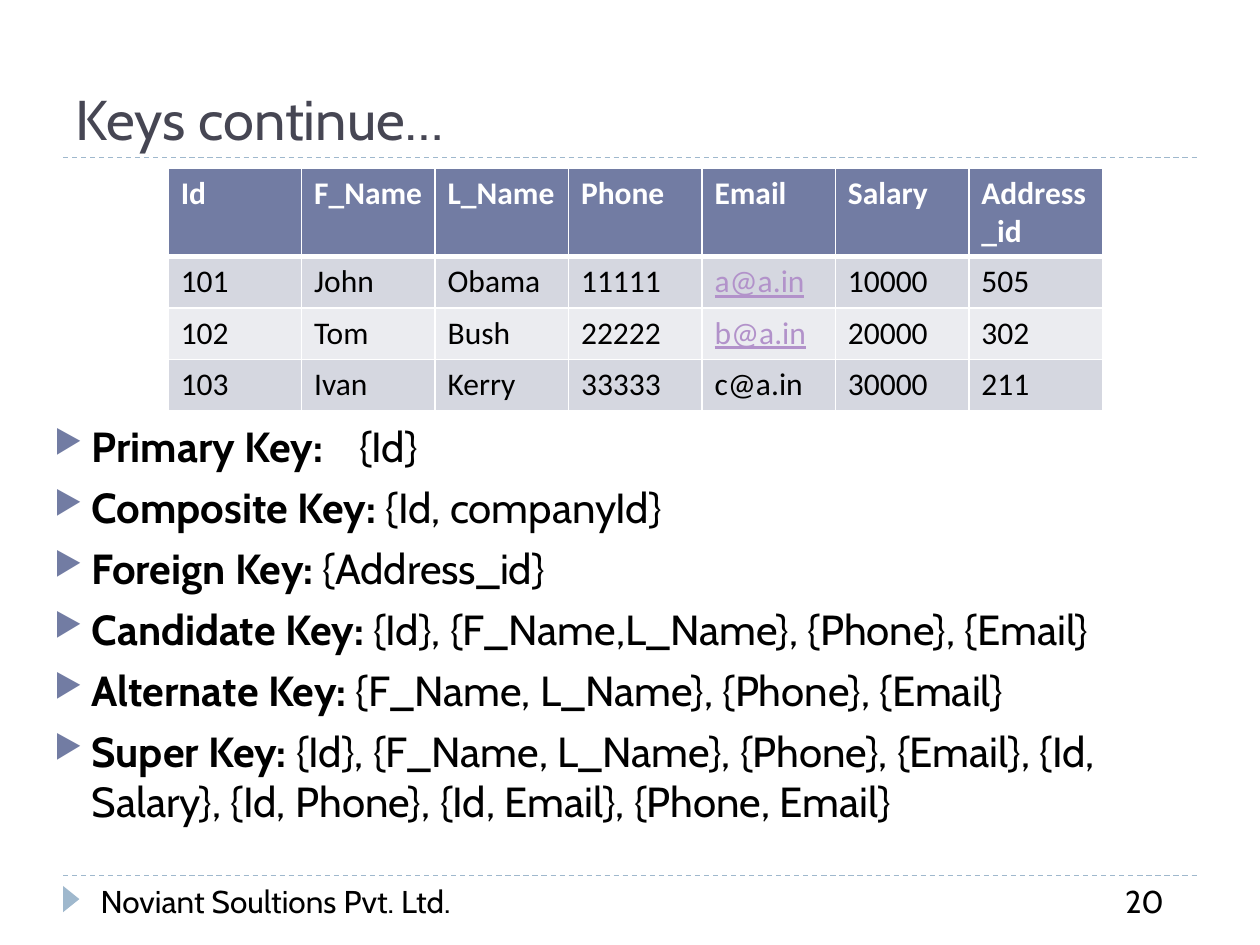
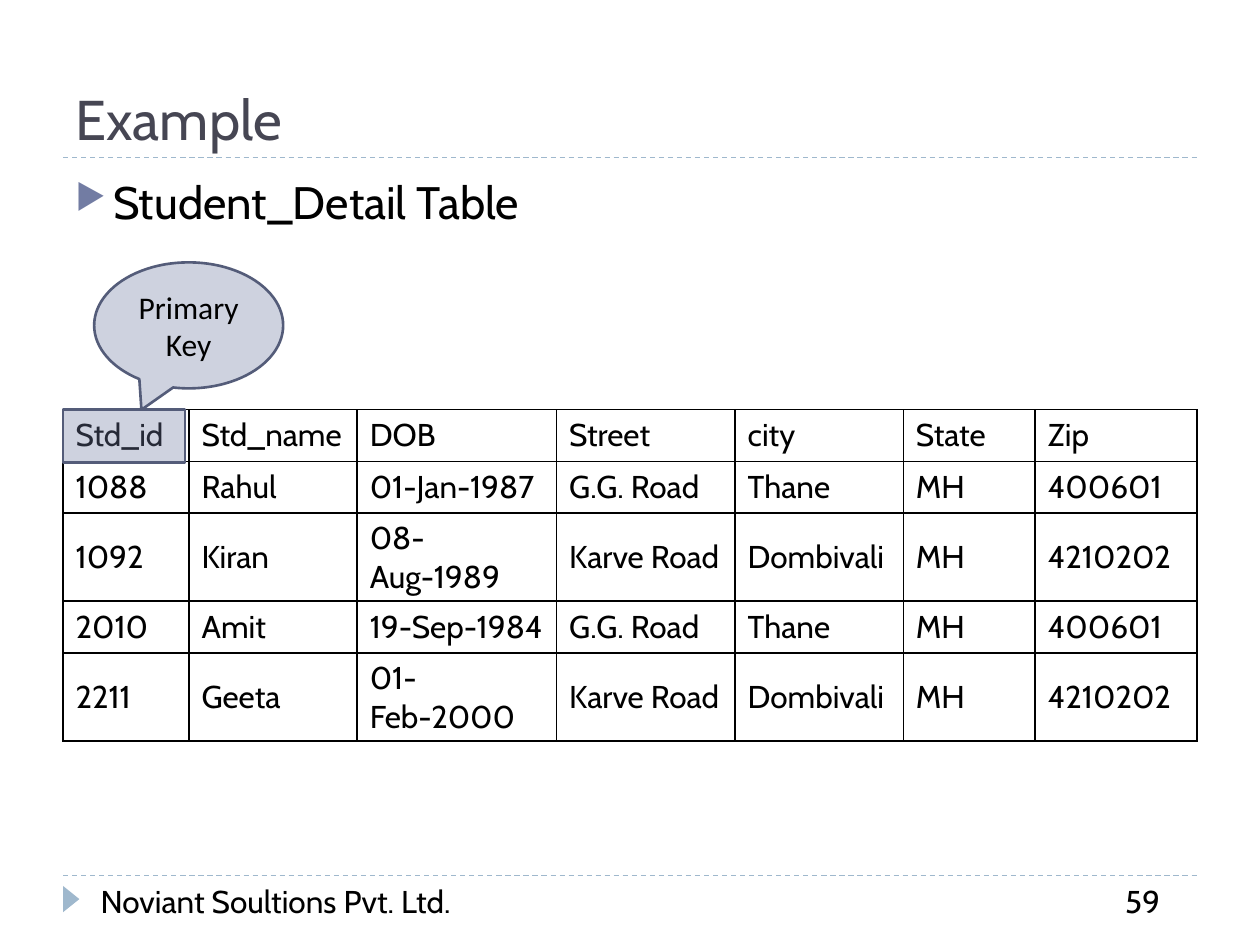
from lxml import etree
from pptx import Presentation
from pptx.dml.color import RGBColor
from pptx.enum.dml import MSO_LINE
from pptx.enum.shapes import MSO_CONNECTOR, MSO_SHAPE as Preset
from pptx.enum.text import MSO_ANCHOR as Anchor, PP_ALIGN as Align
from pptx.oxml.ns import qn
from pptx.util import Cm, Pt

BODY_FONT, LABEL_FONT = "Cabin", "Calibri"
WHITE, BLACK, TITLE = "FFFFFF", "000000", "464653"
ACCENT, ACCENT_DARK, PALE_BLUE = "727CA3", "545C79", "9FB8CD"
BAND_DARK, BAND_LIGHT, LINK = "D5D7E0", "EBECF0", "B292CA"
FOOTER = "Noviant Soultions Pvt. Ltd."
MARGIN, CONTENT_WIDTH = 1.27, 22.86
TITLE_RULE, FOOTER_RULE = 3.18, 17.65

EMPLOYEES = [
    ["Id", "F_Name", "L_Name", "Phone", "Email", "Salary", "Address_id"],
    ["101", "John", "Obama", "11111", "a@a.in", "10000", "505"],
    ["102", "Tom", "Bush", "22222", "b@a.in", "20000", "302"],
    ["103", "Ivan", "Kerry", "33333", "c@a.in", "30000", "211"],
]
LINKED_EMAILS = {"a@a.in", "b@a.in"}
KEYS = [
    ("Primary Key:\t", "{Id}"),
    ("Composite Key: ", "{Id, companyId}"),
    ("Foreign Key: ", "{Address_id}"),
    ("Candidate Key: ", "{Id}, {F_Name,L_Name}, {Phone}, {Email}"),
    ("Alternate Key: ", "{F_Name, L_Name}, {Phone}, {Email}"),
    ("Super Key: ", "{Id}, {F_Name, L_Name}, {Phone}, {Email}, {Id, Salary}, "
                    "{Id, Phone}, {Id, Email}, {Phone, Email}"),
]
STUDENTS = [
    ["Std_id", "Std_name", "DOB", "Street", "city", "State", "Zip"],
    ["1088", "Rahul", "01-Jan-1987", "G.G. Road", "Thane", "MH", "400601"],
    ["1092", "Kiran", "08-Aug-1989", "Karve Road", "Dombivali", "MH", "4210202"],
    ["2010", "Amit", "19-Sep-1984", "G.G. Road", "Thane", "MH", "400601"],
    ["2211", "Geeta", "01-Feb-2000", "Karve Road", "Dombivali", "MH", "4210202"],
]
STUDENT_COLUMNS = [2.54, 3.39, 4.02, 3.6, 3.39, 2.66, 3.26]
ROW, TALL_ROW = 1.04, 1.78


def rgb(value):
    return RGBColor.from_string(value)


def child(parent, tag, **attributes):
    return etree.SubElement(parent, qn(tag), attributes)


def add_run(paragraph, text, size, color=BLACK, font=BODY_FONT, bold=False, underline=False):
    run = paragraph.add_run()
    run.text = text
    style = run.font
    style.size, style.name, style.bold = Pt(size), font, bold
    style.underline = underline
    style.color.rgb = rgb(color)


def add_box(slide, left, top, width, height):
    frame = slide.shapes.add_textbox(Cm(left), Cm(top), Cm(width), Cm(height)).text_frame
    frame.word_wrap = True
    return frame


def add_rule(slide, top):
    rule = slide.shapes.add_connector(MSO_CONNECTOR.STRAIGHT, Cm(MARGIN), Cm(top),
                                      Cm(MARGIN + CONTENT_WIDTH), Cm(top))
    rule.line.color.rgb = rgb(PALE_BLUE)
    rule.line.width = Pt(0.75)
    rule.line.dash_style = MSO_LINE.DASH
    child(rule._element.spPr, "a:effectLst")


def add_shape(slide, preset, left, top, width, height, color):
    shape = slide.shapes.add_shape(preset, Cm(left), Cm(top), Cm(width), Cm(height))
    shape.shadow.inherit = False
    shape.fill.solid()
    shape.fill.fore_color.rgb = rgb(color)
    return shape


def add_highlight(slide, preset, left, top, width, height):
    """Add a see-through accent shape with a dark outline."""
    shape = add_shape(slide, preset, left, top, width, height, ACCENT)
    color = shape._element.spPr.find(qn("a:solidFill"))[0]
    child(color, "a:alpha", val="34000")
    shape.line.color.rgb = rgb(ACCENT_DARK)
    shape.line.width = Pt(1.5)
    return shape


def add_footer(slide, number):
    add_rule(slide, FOOTER_RULE)
    marker = add_shape(slide, Preset.ISOSCELES_TRIANGLE, 1.17, 17.96, 0.53, 0.33, PALE_BLUE)
    marker.rotation = 90
    marker.line.fill.background()
    for text, left, width in [(FOOTER, 1.78, 9.65), (number, 22.43, 1.7)]:
        frame = add_box(slide, left, FOOTER_RULE, width, 1.02)
        add_run(frame.paragraphs[0], text, 18)


def start_slide(deck, heading, number):
    slide = deck.slides.add_slide(deck.slide_layouts[5])
    title = slide.shapes.title
    title.left, title.top = Cm(MARGIN), Cm(0.43)
    title.width, title.height = Cm(CONTENT_WIDTH), Cm(2.75)
    title.text_frame.vertical_anchor = Anchor.BOTTOM
    paragraph = title.text_frame.paragraphs[0]
    paragraph.alignment = Align.LEFT
    add_run(paragraph, heading, 32, TITLE)
    add_rule(slide, TITLE_RULE)
    add_footer(slide, number)
    return slide


def add_bullets(frame, items, size):
    """Fill a frame with bulleted (bold lead, plain rest) items."""
    for index, (lead, rest) in enumerate(items):
        paragraph = frame.paragraphs[0] if index == 0 else frame.add_paragraph()
        properties = paragraph._p.get_or_add_pPr()
        properties.set("marL", str(Cm(0.76)))
        properties.set("indent", str(Cm(-0.76)))
        child(child(properties, "a:buClr"), "a:srgbClr", val=ACCENT)
        child(properties, "a:buSzPct", val="76000")
        child(properties, "a:buChar", char="▶")
        if "\t" in lead:
            child(child(properties, "a:tabLst"), "a:tab", pos=str(Cm(6.15)), algn="l")
        paragraph.space_before = Pt(6 if index else 0)
        if lead:
            add_run(paragraph, lead, size, bold=True)
        add_run(paragraph, rest, size)


def set_borders(cell, color, bottom_width=1):
    properties = cell._tc.get_or_add_tcPr()
    for side in "LRTB":
        width = bottom_width if side == "B" else 1
        border = child(properties, f"a:ln{side}", w=str(Pt(width)))
        child(child(border, "a:solidFill"), "a:srgbClr", val=color)


def add_grid(slide, left, top, columns, heights, rows, format_cell):
    """Add a table; format_cell styles and fills each cell."""
    table = slide.shapes.add_table(len(rows), len(columns), Cm(left), Cm(top),
                                   Cm(sum(columns)), Cm(sum(heights))).table
    for column, width in zip(table.columns, columns):
        column.width = Cm(width)
    for index, (row, height, values) in enumerate(zip(table.rows, heights, rows)):
        row.height = Cm(height)
        for cell, value in zip(row.cells, values):
            format_cell(cell, index, value)


def format_employee(cell, row, value):
    header, linked = row == 0, value in LINKED_EMAILS
    set_borders(cell, WHITE, 3 if header else 1)
    cell.fill.solid()
    cell.fill.fore_color.rgb = rgb(ACCENT if header else BAND_DARK if row % 2 else BAND_LIGHT)
    color = WHITE if header else LINK if linked else BLACK
    add_run(cell.text_frame.paragraphs[0], value, 18, color, LABEL_FONT, header, linked)


def format_student(cell, row, value):
    set_borders(cell, BLACK)
    cell.fill.background()
    cell.vertical_anchor = Anchor.MIDDLE
    add_run(cell.text_frame.paragraphs[0], value, 18)


def build_keys(deck):
    slide = start_slide(deck, "Keys continue…", "20")
    add_bullets(add_box(slide, 0.84, 8.36, CONTENT_WIDTH, 8.6), KEYS, 24)
    add_grid(slide, 3.39, 3.39, [2.69] * 7, [TALL_ROW] + [ROW] * 3, EMPLOYEES, format_employee)


def add_primary_key_callout(slide, left, top):
    """Mark the first header cell, whose corner is given, as the primary key."""
    add_highlight(slide, Preset.RECTANGLE, left, top, 2.46, 1.06)
    callout = add_highlight(slide, Preset.OVAL_CALLOUT, left + 0.63, top - 2.97, 3.81, 2.54)
    callout.adjustments[0], callout.adjustments[1] = -0.25, 0.67
    frame = callout.text_frame
    frame.word_wrap = True
    frame.vertical_anchor = Anchor.MIDDLE
    paragraph = frame.paragraphs[0]
    paragraph.alignment = Align.CENTER
    add_run(paragraph, "Primary Key", 18, font=LABEL_FONT)


def build_example(deck):
    slide = start_slide(deck, "Example", "59")
    add_bullets(add_box(slide, MARGIN, 3.39, CONTENT_WIDTH, 1.27),
                [("", "Student_Detail Table")], 26)
    table_top = 8.26
    add_grid(slide, MARGIN, table_top, STUDENT_COLUMNS, [ROW, ROW, TALL_ROW, ROW, TALL_ROW],
             STUDENTS, format_student)
    add_primary_key_callout(slide, MARGIN, table_top)


def main():
    deck = Presentation()
    deck.slide_width, deck.slide_height = Cm(25.4), Cm(19.05)
    build_keys(deck)
    build_example(deck)
    deck.save("out.pptx")


if __name__ == "__main__":
    main()
